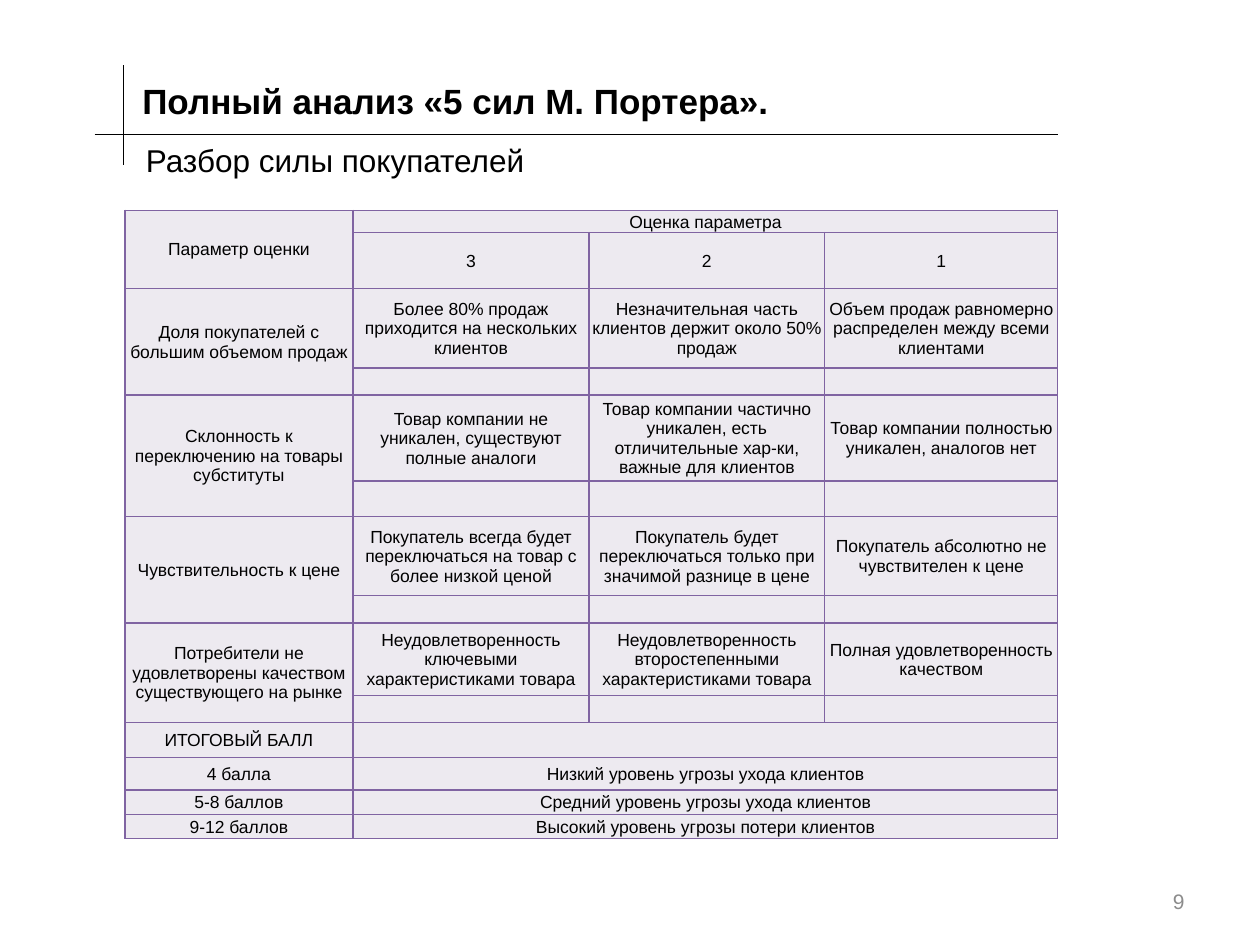
import pptx
import pptx.dml.color
import pptx.enum.shapes
import pptx.enum.text
import pptx.oxml
import pptx.oxml.ns
import pptx.util
from pptx.util import Pt

ALIGN = pptx.enum.text.PP_ALIGN
MIDDLE = pptx.enum.text.MSO_ANCHOR.MIDDLE
TOP = pptx.enum.text.MSO_ANCHOR.TOP
BLACK, GREY, PURPLE, LILAC = "000000", "8C8C8C", "8064A2", "EDEAF0"
FONT = "Arial"

# Content: text, left, top, width, height, size, bold, colour, alignment, anchor
TEXTS = [
    ("9", 516.2, 500.4, 167.8, 28.8, 12, False, GREY, ALIGN.RIGHT, MIDDLE),
    ("Полный анализ «5 сил М. Портера».", 74.2, 37.4, 608.4, 39.6, 20, True, BLACK, ALIGN.LEFT, MIDDLE),
    ("Разбор силы покупателей", 76.3, 77, 360, 28.8, 18, False, BLACK, ALIGN.LEFT, TOP),
]
LINES = [(54, 77, 604.8, 77), (70.6, 94.3, 70.6, 37.4)]

HEADER = ("Параметр оценки", "Оценка параметра", ("3", "2", "1"))
CRITERIA = [
    ("Доля покупателей с большим объемом продаж",
     "Более 80% продаж приходится на нескольких клиентов",
     "Незначительная часть клиентов держит около 50% продаж",
     "Объем продаж равномерно распределен между всеми клиентами"),
    ("Склонность к переключению на товары субституты",
     "Товар компании не уникален, существуют полные аналоги",
     "Товар компании частично уникален, есть отличительные хар-ки, важные для клиентов",
     "Товар компании полностью уникален, аналогов нет"),
    ("Чувствительность к цене",
     "Покупатель всегда будет переключаться на товар с более низкой ценой",
     "Покупатель будет переключаться только при значимой разнице в цене",
     "Покупатель абсолютно не чувствителен к цене"),
    ("Потребители не удовлетворены качеством существующего на рынке",
     "Неудовлетворенность ключевыми характеристиками товара",
     "Неудовлетворенность второстепенными характеристиками товара",
     "Полная удовлетворенность качеством"),
]
TOTALS = [
    ("ИТОГОВЫЙ БАЛЛ", ""),
    ("4 балла", "Низкий уровень угрозы ухода клиентов"),
    ("5-8 баллов", "Средний уровень угрозы ухода клиентов"),
    ("9-12 баллов", "Высокий уровень угрозы потери клиентов"),
]
TABLE_LEFT, TABLE_TOP = 71.3, 120.2
COLUMN_WIDTHS = [130.4, 134.8, 134.8, 133.2]
ROW_HEIGHTS = [12.8, 31.8, 45.6, 15.5, 49, 20.3, 45.3, 15.7, 41.3, 15.5, 20.2, 18.4, 14, 13.8]


def colour(value):
    return pptx.dml.color.RGBColor.from_string(value)


def style_text(paragraph, size, value, align, bold=False):
    paragraph.alignment = align
    for span in paragraph.runs:
        span.font.name = FONT
        span.font.size = Pt(size)
        span.font.bold = bold
        span.font.color.rgb = colour(value)


def add_text(page, text, left, top, width, height, size, bold, value, align, anchor):
    box = page.shapes.add_textbox(Pt(left), Pt(top), Pt(width), Pt(height))
    frame = box.text_frame
    frame.word_wrap = True
    frame.vertical_anchor = anchor
    frame.text = text
    style_text(frame.paragraphs[0], size, value, align, bold)


def add_line(page, *ends):
    line = page.shapes.add_connector(
        pptx.enum.shapes.MSO_CONNECTOR.STRAIGHT, *[Pt(end) for end in ends])
    line.line.color.rgb = colour(BLACK)
    line.line.width = Pt(0.75)
    pptx.oxml.ns.qn("a:effectLst")
    line._element.spPr.append(
        pptx.oxml.parse_xml(f"<a:effectLst {pptx.oxml.ns.nsdecls('a')}/>"))


def style_cell(cell):
    cell.margin_left = cell.margin_right = cell.margin_top = Pt(0.7)
    cell.margin_bottom = 0
    cell.vertical_anchor = MIDDLE
    paragraph = cell.text_frame.paragraphs[0]
    style_text(paragraph, 10, BLACK, ALIGN.CENTER)
    namespace = pptx.oxml.ns.nsdecls("a")
    if not paragraph.runs:  # keeps empty rows low
        paragraph._p.append(pptx.oxml.parse_xml(f'<a:endParaRPr {namespace} sz="1000"/>'))
    # Borders come before the fill in the cell properties
    for side in ("lnL", "lnR", "lnT", "lnB"):
        cell._tc.get_or_add_tcPr().append(pptx.oxml.parse_xml(
            f'<a:{side} {namespace} w="{Pt(1)}"><a:solidFill>'
            f'<a:srgbClr val="{PURPLE}"/></a:solidFill></a:{side}>'))
    cell.fill.solid()
    cell.fill.fore_color.rgb = colour(LILAC)


def add_score_table(page):
    table = page.shapes.add_table(
        len(ROW_HEIGHTS), len(COLUMN_WIDTHS), Pt(TABLE_LEFT), Pt(TABLE_TOP),
        Pt(sum(COLUMN_WIDTHS)), Pt(sum(ROW_HEIGHTS))).table
    for column, width in zip(table.columns, COLUMN_WIDTHS):
        column.width = Pt(width)
    for row, height in zip(table.rows, ROW_HEIGHTS):
        row.height = Pt(height)

    def put(row, column, text, rows=1, columns=1):
        cell = table.cell(row, column)
        cell.text = text
        if rows > 1 or columns > 1:
            cell.merge(table.cell(row + rows - 1, column + columns - 1))

    # Header
    parameter, rating, scores = HEADER
    put(0, 0, parameter, rows=2)
    put(0, 1, rating, columns=3)
    for column, score in enumerate(scores, 1):
        put(1, column, score)
    # Each criterion has a row of answers and an empty row for marks
    for index, (criterion, *answers) in enumerate(CRITERIA, 1):
        put(2 * index, 0, criterion, rows=2)
        for column, answer in enumerate(answers, 1):
            put(2 * index, column, answer)
    # Totals
    for row, (points, verdict) in enumerate(TOTALS, 2 + 2 * len(CRITERIA)):
        put(row, 0, points)
        put(row, 1, verdict, columns=3)

    for cell in table.iter_cells():
        style_cell(cell)


def main():
    deck = pptx.Presentation()
    deck.slide_width, deck.slide_height = Pt(720), Pt(540)
    page = deck.slides.add_slide(deck.slide_layouts[6])
    for line in LINES:
        add_line(page, *line)
    for text in TEXTS:
        add_text(page, *text)
    add_score_table(page)
    deck.save("out.pptx")


if __name__ == "__main__":
    main()
